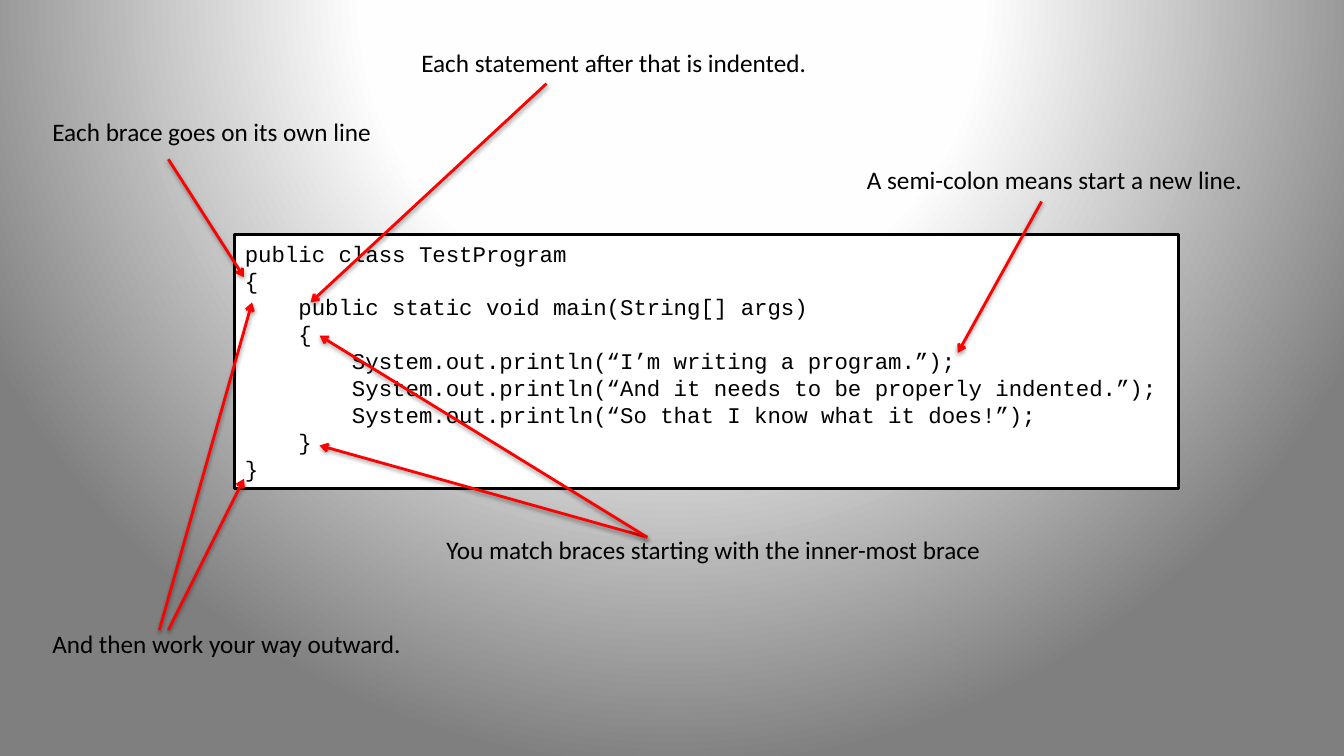
import pptx
import pptx.dml.color
import pptx.enum.shapes
import pptx.enum.text
import pptx.oxml
import pptx.oxml.ns
import pptx.util
from pptx.util import Inches

COLORS = {"black": "000000", "white": "FFFFFF", "red": "FF0000",
          "near_white": "FEFEFE", "gray": "7F7F7F"}
NAMESPACES = pptx.oxml.ns.nsdecls("a", "p")

CODE_LINES = [
    "public class TestProgram",
    "{",
    "    public static void main(String[] args)",
    "    {",
    "        System.out.println(“I’m writing a program.”);",
    "        System.out.println(“And it needs to be properly indented.”);",
    "        System.out.println(“So that I know what it does!”);",
    "    }",
    "}",
]

# Each note: text, left, top, width, then its arrows as (start, end)
NOTES = [
    ("Each brace goes on its own line", 0.42, 1.1, 3.41,
     [((1.67, 1.58), (2.42, 2.75))]),
    ("Each statement after that is indented.", 4.08, 0.42, 4.09,
     [((5.42, 0.83), (3.08, 3))]),
    ("A semi-colon means start a new line.", 8.5, 1.58, 3.97,
     [((10.33, 2), (9.5, 3.5))]),
    ("You match braces starting with the inner-most brace", 4.33, 5.25, 5.6,
     [((6.42, 5.33), (3.17, 4.42)), ((6.42, 5.33), (3.17, 3.33))]),
    ("And then work your way outward.", 0.42, 6.18, 3.75,
     [((1.67, 6.25), (2.42, 4.75)), ((1.58, 6.25), (2.5, 3))]),
]


def write_lines(shape, lines, font_name, size):
    """Fill a shape with left-aligned lines that set its size."""
    frame = shape.text_frame
    frame.word_wrap = False
    frame.auto_size = pptx.enum.text.MSO_AUTO_SIZE.SHAPE_TO_FIT_TEXT
    for index, line in enumerate(lines):
        paragraph = frame.add_paragraph() if index else frame.paragraphs[0]
        paragraph.alignment = pptx.enum.text.PP_ALIGN.LEFT
        run = paragraph.add_run()
        run.text = line
        run.font.name = font_name
        run.font.size = pptx.util.Pt(size)
        run.font.color.rgb = pptx.dml.color.RGBColor.from_string(COLORS["black"])


def add_arrow(slide, start, end):
    """Draw a red arrow with a soft shadow below it."""
    arrow = slide.shapes.add_connector(
        pptx.enum.shapes.MSO_CONNECTOR.STRAIGHT,
        *(Inches(value) for value in start + end))
    arrow.line.color.rgb = pptx.dml.color.RGBColor.from_string(COLORS["red"])
    arrow.line.width = pptx.util.Pt(2)
    arrow.line._get_or_add_ln().append(
        pptx.oxml.parse_xml(f'<a:tailEnd {NAMESPACES} type="arrow"/>'))
    arrow.element.spPr.append(pptx.oxml.parse_xml(
        f'<a:effectLst {NAMESPACES}>'
        '<a:outerShdw blurRad="40000" dist="20000" dir="5400000" rotWithShape="0">'
        f'<a:srgbClr val="{COLORS["black"]}"><a:alpha val="38000"/></a:srgbClr>'
        '</a:outerShdw></a:effectLst>'))


presentation = pptx.Presentation()
presentation.slide_width = Inches(13.33)
presentation.slide_height = Inches(7.5)
slide = presentation.slides.add_slide(presentation.slide_layouts[6])

# Circular background gradient, centred above the slide
stops = "".join(
    f'<a:gs pos="{percent * 1000}"><a:srgbClr val="{COLORS[name]}"/></a:gs>'
    for percent, name in [(0, "white"), (40, "near_white"), (100, "gray")])
slide.element.cSld.insert(0, pptx.oxml.parse_xml(
    f'<p:bg {NAMESPACES}><p:bgPr><a:gradFill rotWithShape="1">'
    f'<a:gsLst>{stops}</a:gsLst><a:path path="circle">'
    '<a:fillToRect l="50000" t="-80000" r="50000" b="180000"/>'
    '</a:path></a:gradFill><a:effectLst/></p:bgPr></p:bg>'))

# Code listing
code_box = slide.shapes.add_shape(
    pptx.enum.shapes.MSO_SHAPE.RECTANGLE,
    Inches(2.33), Inches(2.33), Inches(9.36), Inches(2.52))
code_box.shadow.inherit = False
code_box.fill.solid()
code_box.fill.fore_color.rgb = pptx.dml.color.RGBColor.from_string(COLORS["white"])
code_box.line.color.rgb = pptx.dml.color.RGBColor.from_string(COLORS["black"])
code_box.line.width = pptx.util.Pt(2)
code_box.text_frame.vertical_anchor = pptx.enum.text.MSO_ANCHOR.TOP
write_lines(code_box, CODE_LINES, "Courier New", 16)

# Notes and the arrows that point into the code
for text, left, top, width, arrows in NOTES:
    note = slide.shapes.add_textbox(
        Inches(left), Inches(top), Inches(width), Inches(0.4))
    write_lines(note, [text], "Calibri", 18)
    for start, end in arrows:
        add_arrow(slide, start, end)

presentation.save("out.pptx")
